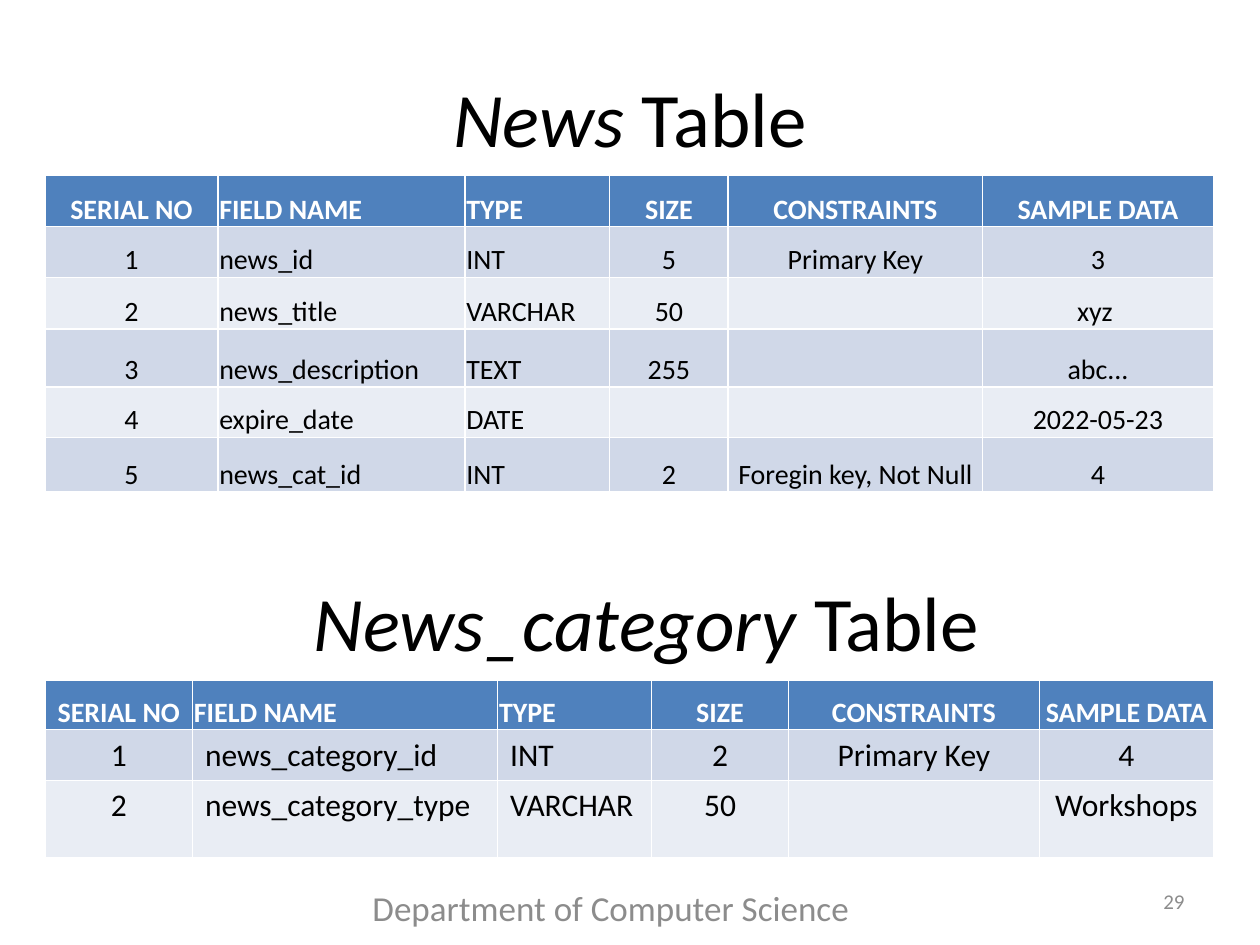
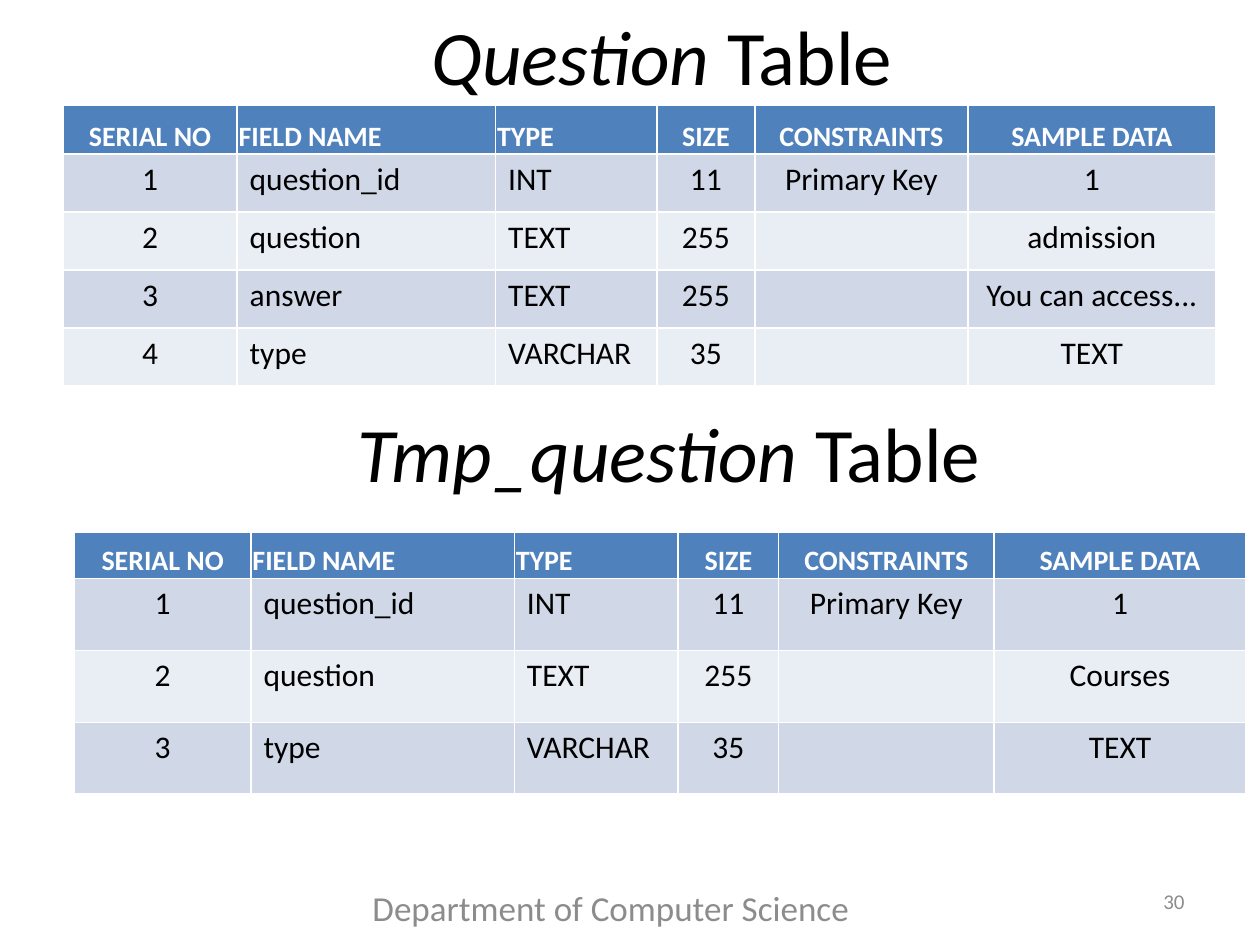
from pptx import Presentation
from pptx.dml.color import RGBColor
from pptx.enum.text import MSO_ANCHOR, PP_ALIGN
from pptx.util import Cm, Pt

FONT = "Calibri"
HUES = {"head": "4F81BD", "odd": "D0D8E8", "even": "E9EDF4",
        "white": "FFFFFF", "black": "000000", "grey": "8C8C8C"}
HEADS = ("SERIAL NO", "FIELD NAME", "TYPE", "SIZE", "CONSTRAINTS", "SAMPLE DATA")
LEFT = ("FIELD NAME", "TYPE")
FOOT = "Department of Computer Science "

# Each grid: title in italic and upright parts, title corner, table corner,
# column widths, row heights, and the rows after the serial number (all in cm)
NEWS = {
    "title": ("News ", "Table"), "spot": (1.27, 0.76), "at": (0.91, 3.53),
    "cols": (3.48, 4.98, 2.92, 2.39, 5.13, 4.65),
    "highs": (1.04, 1.02, 1.04, 1.17, 1.02, 1.09),
    "tight": True,
    "rows": [
        ("news_id", "INT", "5", "Primary Key", "3"),
        ("news_title", "VARCHAR", "50", "", "xyz "),
        ("news_description", "TEXT", "255", "", "abc..."),
        ("expire_date", "DATE", "", "", "2022-05-23"),
        ("news_cat_id", "INT", "2", "Foregin key, Not Null", "4"),
    ],
}
GROUP = {
    "title": ("News_category", " Table"), "spot": (1.6, 10.92), "at": (0.91, 13.72),
    "cols": (2.97, 6.15, 3.1, 2.77, 5.05, 3.51),
    "highs": (0.99, 1.02, 1.57),
    "tight": False,
    "rows": [
        ("news_category_id", "INT", "2", "Primary Key", "4"),
        ("news_category_type", "VARCHAR", "50", "", "Workshops"),
    ],
}
ASK = {
    "title": ("Question ", "Table"), "spot": (1.91, -0.48), "at": (1.27, 2.13),
    "cols": (3.51, 5.21, 3.25, 1.98, 4.29, 5.0),
    "highs": (0.97,) + (1.17,) * 4,
    "tight": False,
    "rows": [
        ("question_id", "INT", "11", "Primary Key", "1"),
        ("question", "TEXT", "255", "", "admission"),
        ("answer", "TEXT", "255", "", "You can access..."),
        ("type", "VARCHAR", "35", "", "TEXT"),
    ],
}
TEMP = {
    "title": ("Tmp_question ", "Table"), "spot": (2.06, 7.52), "at": (1.5, 10.72),
    "cols": (3.56, 5.31, 3.3, 2.03, 4.34, 5.08),
    "highs": (0.94,) + (1.45,) * 3,
    "tight": False,
    "rows": [
        ("question_id", "INT", "11", "Primary Key", "1"),
        ("question", "TEXT", "255", "", "Courses"),
        ("type", "VARCHAR", "35", "", "TEXT"),
    ],
}
PAGES = [(29, NEWS, GROUP), (30, ASK, TEMP)]


def style(para, size, hue, align, bold=False):
    para.alignment = align
    font = para.font
    font.name, font.size, font.bold = FONT, Pt(size), bold
    font.color.rgb = RGBColor.from_string(HUES[hue])


def add_box(slide, x, y, wide, high):
    box = slide.shapes.add_textbox(Cm(x), Cm(y), Cm(wide), Cm(high))
    box.text_frame.word_wrap = True
    box.text_frame.vertical_anchor = MSO_ANCHOR.MIDDLE
    return box


def add_note(slide, place, text, size, align):
    para = add_box(slide, *place).text_frame.paragraphs[0]
    para.text = text
    style(para, size, "grey", align)


def set_title(shape, parts, spot):
    shape.left, shape.top = (Cm(n) for n in spot)
    shape.width, shape.height = Cm(22.86), Cm(3.18)
    shape.text_frame.vertical_anchor = MSO_ANCHOR.MIDDLE
    para = shape.text_frame.paragraphs[0]
    for text, slant in zip(parts, (True, False)):
        run = para.add_run()
        run.text = text
        run.font.italic = slant
    style(para, 44, "black", PP_ALIGN.CENTER)


def fill_cell(cell, text, row, name, tight):
    top = row == 0
    cell.fill.solid()
    hue = "head" if top else "odd" if row % 2 else "even"
    cell.fill.fore_color.rgb = RGBColor.from_string(HUES[hue])
    # Header cells and tight tables sit on the bottom edge
    if top or tight:
        cell.vertical_anchor = MSO_ANCHOR.BOTTOM
        cell.margin_left = cell.margin_right = cell.margin_top = Cm(0.03)
        cell.margin_bottom = 0
    para = cell.text_frame.paragraphs[0]
    para.text = text
    style(para, 16 if top or tight else 18, "white" if top else "black",
          PP_ALIGN.LEFT if name in LEFT else PP_ALIGN.CENTER, top)


def add_grid(slide, grid):
    cols, highs = grid["cols"], grid["highs"]
    x, y = grid["at"]
    table = slide.shapes.add_table(len(highs), len(cols), Cm(x), Cm(y),
                                   Cm(sum(cols)), Cm(sum(highs))).table
    for col, wide in zip(table.columns, cols):
        col.width = Cm(wide)
    for line, high in zip(table.rows, highs):
        line.height = Cm(high)
    body = [(str(n), *row) for n, row in enumerate(grid["rows"], 1)]
    for r, row in enumerate([HEADS, *body]):
        for c, text in enumerate(row):
            fill_cell(table.cell(r, c), text, r, HEADS[c], grid["tight"])


def main():
    prs = Presentation()
    prs.slide_width, prs.slide_height = Cm(25.4), Cm(19.05)
    for page, first, second in PAGES:
        slide = prs.slides.add_slide(prs.slide_layouts[5])
        # Upper table under the slide title
        set_title(slide.shapes.title, first["title"], first["spot"])
        add_grid(slide, first)
        # Footer and page number
        add_note(slide, (6.78, 17.78, 11.23, 1.02), FOOT, 20, PP_ALIGN.CENTER)
        add_note(slide, (18.21, 17.65, 5.92, 1.02), str(page), 12, PP_ALIGN.RIGHT)
        # Lower table under its own heading
        add_grid(slide, second)
        head = add_box(slide, *second["spot"], 22.86, 3.18)
        set_title(head, second["title"], second["spot"])
    prs.save("out.pptx")


if __name__ == "__main__":
    main()
